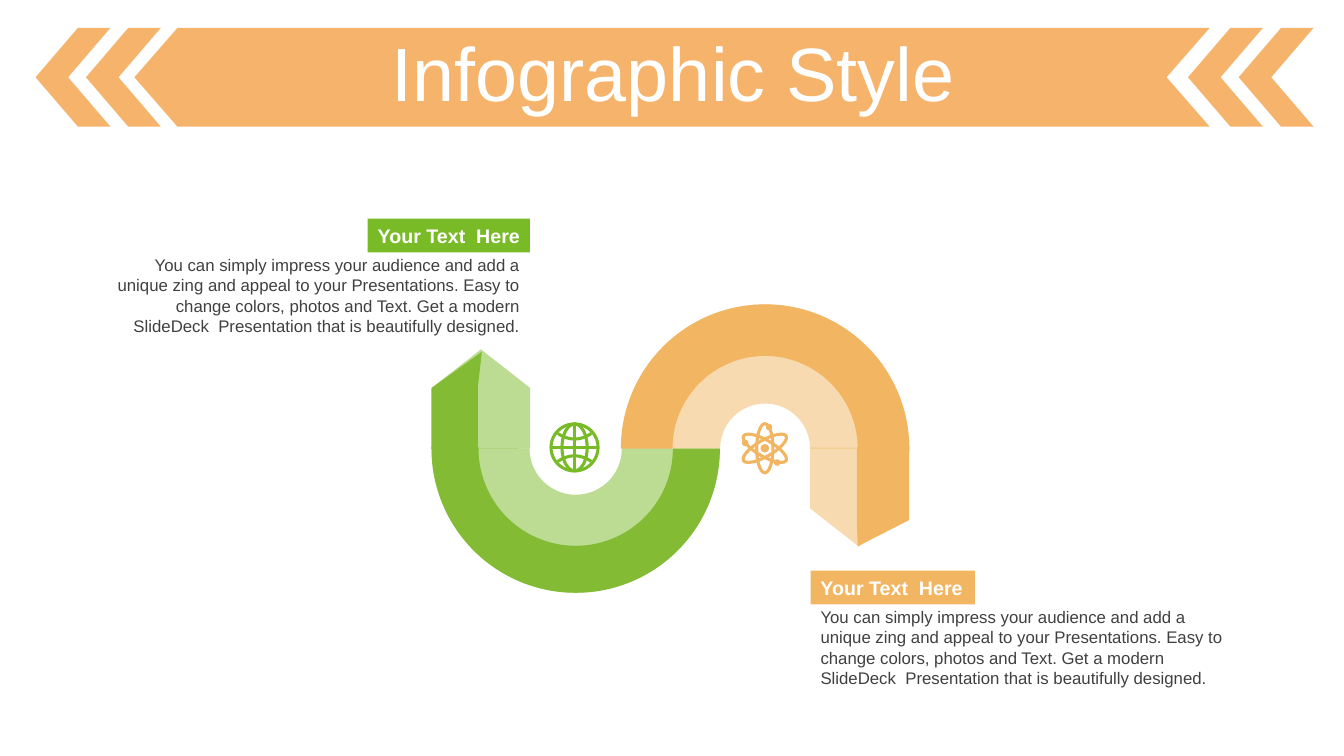
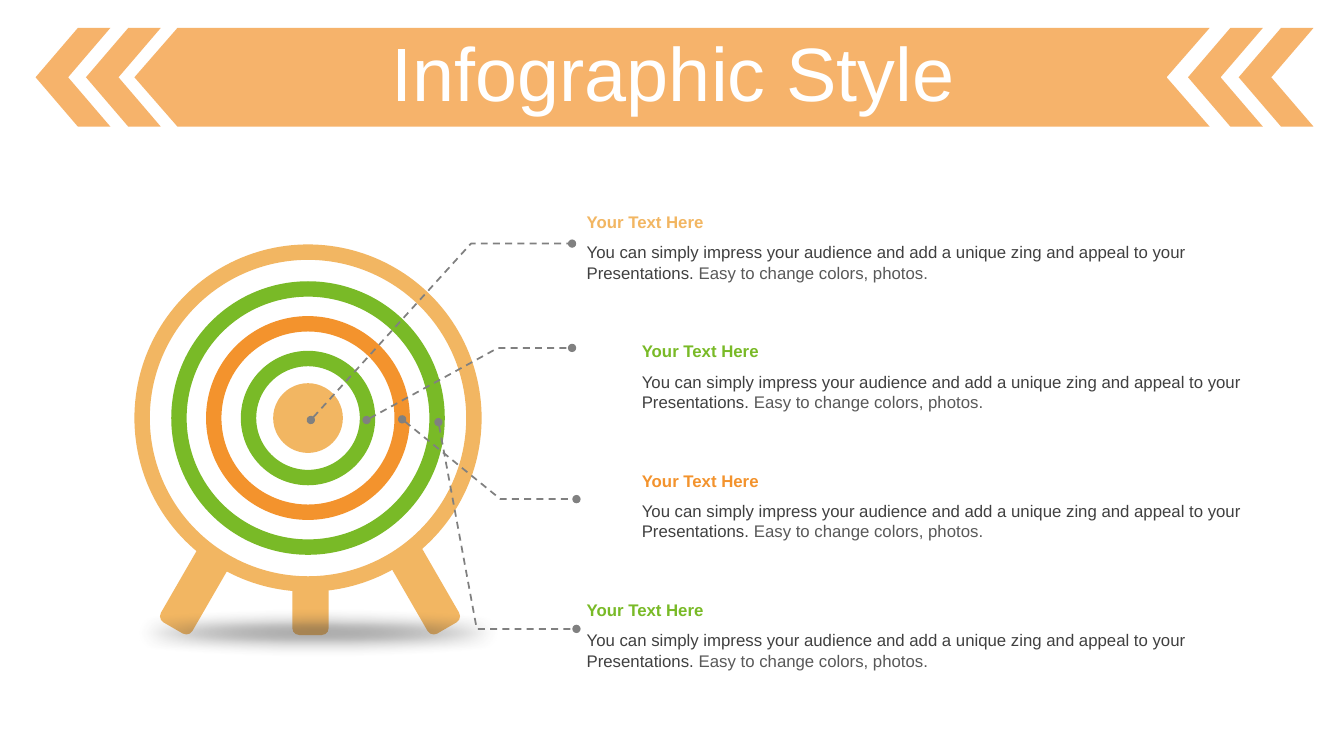
from lxml import etree
from pptx import Presentation
from pptx.dml.color import RGBColor
from pptx.enum import dml, shapes, text
from pptx.oxml.ns import qn
from pptx.shapes.shapetree import SlideShapes
from pptx.util import Pt

GREEN, LEAF, ORANGE, SAND = "79BA27", "8EC043", "F3932D", "F2B662"
WHITE, DARK, GRAY, MID = "FFFFFF", "404040", "808080", "595959"
M = shapes.MSO_SHAPE
LEFT, CENTER, RIGHT = text.PP_ALIGN.LEFT, text.PP_ALIGN.CENTER, text.PP_ALIGN.RIGHT
rgb = RGBColor.from_string


def draw(tree, geom, box=None, fill=None, alpha=None, line=None, width=1, rot=0, adj=()):
    """Draw a preset shape in a box, or an outline through a list of points."""
    if isinstance(geom, list):
        pts = [(Pt(x), Pt(y)) for x, y in geom]
        fb = tree.build_freeform(*pts[0], scale=1)
        fb.add_line_segments(pts[1:], close=fill is not None)
        sp = fb.convert_to_shape()
    else:
        sp = tree.add_shape(geom, *[Pt(v) for v in box])
    sp.shadow.inherit = False
    sp.rotation = rot
    for i, v in enumerate(adj):
        sp.adjustments[i] = v
    if fill:
        sp.fill.solid()
        sp.fill.fore_color.rgb = rgb(fill)
    else:
        sp.fill.background()
    if alpha:
        color = sp._element.spPr.find(qn("a:solidFill"))[0]
        etree.SubElement(color, qn("a:alpha"), val=str(alpha * 1000))
    if line:
        sp.line.color.rgb = rgb(line)
        sp.line.width = Pt(width)
    else:
        sp.line.fill.background()
    return sp


def write(sp, *runs, size=12, bold=False, align=LEFT, spacing=None, anchor=text.MSO_ANCHOR.TOP):
    """Fill a shape with one paragraph of (text, colour) runs."""
    tf = sp.text_frame
    tf.word_wrap = True
    tf.auto_size = text.MSO_AUTO_SIZE.NONE
    tf.vertical_anchor = anchor
    p = tf.paragraphs[0]
    p.alignment = align
    if spacing:
        p.line_spacing = spacing
    for words, color in runs:
        r = p.add_run()
        r.text = words
        r.font.name = "Arial"
        r.font.size = Pt(size)
        r.font.bold = bold
        r.font.color.rgb = rgb(color)


prs = Presentation()
prs.slide_width, prs.slide_height = Pt(960), Pt(540)

# Shared layout: title place and arrow banner
layout = prs.slide_layouts[5]
title = layout.placeholders[0]
title.left, title.top, title.width, title.height = Pt(25.2), Pt(26.6), Pt(911.5), Pt(57)
tree = SlideShapes(layout.shapes._spTree, layout)
for x in (25.4, 61.4, 848.6, 884.8):
    draw(tree, M.CHEVRON, (x, 20, 53.4, 70.4), fill=ORANGE, alpha=70, rot=180, adj=[0.565])
draw(tree, [(126.7, 20), (864, 20), (833.3, 55.2), (864, 90.4), (126.7, 90.4), (96, 55.2)],
     fill=ORANGE, alpha=70)

slides = [prs.slides.add_slide(layout) for _ in range(2)]
for s in slides:
    write(s.shapes.title, ("Infographic Style", WHITE), size=54, align=CENTER, spacing=0.9,
          anchor=text.MSO_ANCHOR.MIDDLE)

# Slide 1: orange half of the wave
tree = slides[0].shapes
arch = (443.5, 217.4, 206, 206)
draw(tree, M.BLOCK_ARC, arch, fill=SAND, alpha=50, adj=[108, 0, 0.344])
draw(tree, M.BLOCK_ARC, arch, fill=SAND, adj=[108, 0.65, 0.179])
draw(tree, [(649.4, 319.7), (649.4, 371.5), (612.7, 390.2), (612, 371.5), (612, 319.7)],
     fill=SAND)
draw(tree, M.PENTAGON, (578.2, 320.2, 70.6, 69.8), fill=SAND, alpha=50, rot=90, adj=[0.391])

# Green half of the wave
bowl = (308.2, 217.4, 206, 206)
draw(tree, M.BLOCK_ARC, bowl, fill=LEAF, rot=180, adj=[108, 0.43, 0.163])
draw(tree, [(308.2, 320.4), (308.2, 277.2), (344.2, 251.3), (341.3, 277.2), (341.3, 320.4)],
     fill=LEAF)
draw(tree, M.BLOCK_ARC, bowl, fill=GREEN, alpha=50, rot=180, adj=[108, 0.22, 0.34])
draw(tree, M.PENTAGON, (308.2, 249.8, 70.6, 70.2), fill=GREEN, alpha=50, rot=270, adj=[0.391])

# Labels and paragraphs
blurb = ("You can simply impress your audience and add a unique zing and appeal to your "
         "Presentations. Easy to change colors, photos and Text. Get a modern "
         "SlideDeck  Presentation that is beautifully designed.")
for label, body, color, align in (
        ((262.6, 156.2, 116, 24.2), (68.4, 178.6, 310.2, 65.4), GREEN, RIGHT),
        ((579, 407.6, 117.4, 24.2), (579, 430, 309, 65.4), SAND, LEFT)):
    sp = draw(tree, M.RECTANGLE, label, fill=color)
    write(sp, ("Your Text  Here", WHITE), size=14, bold=True, align=align)
    write(tree.add_textbox(*[Pt(v) for v in body]), (blurb, DARK), align=align)

# Globe icon
cx, cy, rad = 410.4, 319.6, 16.8
for rx in (rad, 9):
    draw(tree, M.OVAL, (cx - rx, cy - rad, 2 * rx, 2 * rad), line=GREEN, width=2.2)
draw(tree, [(cx - rad, cy), (cx + rad, cy)], line=GREEN, width=2.2)
draw(tree, [(cx, cy - rad), (cx, cy + rad)], line=GREEN, width=2.2)
for side in (-1, 1):
    curve = [(cx + dx, cy + side * (6 + 4 * (dx / 12) ** 2)) for dx in range(-12, 13, 2)]
    draw(tree, curve, line=GREEN, width=2.2)

# Atom icon
cx, cy = 546.3, 320.2
for angle in (0, 60, 120):
    draw(tree, M.OVAL, (cx - 5.8, cy - 17.6, 11.6, 35.2), line=SAND, width=2.2, rot=angle)
for dx, dy, rad in ((0, 0, 3), (3, -15.2, 2.3), (-14, -3.8, 2.3), (8.8, 10.2, 2.3)):
    draw(tree, M.OVAL, (cx + dx - rad, cy + dy - rad, 2 * rad, 2 * rad), fill=SAND)

# Slide 2: target stand and rings
tree = slides[1].shapes
for x, y, angle in ((208.8, 291.6, 0), (265.7, 297.4, 330), (151.2, 297.4, 30)):
    draw(tree, M.ROUNDED_RECTANGLE, (x, y, 26, 162), fill=SAND, rot=angle, adj=[0.194])
cx, cy = 220, 298.6
for d, fill, line in ((237, WHITE, SAND), (184.4, WHITE, GREEN), (134.6, WHITE, ORANGE),
                      (85, WHITE, GREEN), (49.8, SAND, None)):
    draw(tree, M.OVAL, (cx - d / 2, cy - d / 2, d, d), fill=fill, line=line, width=11)

# Soft shadow on the floor
sp = draw(tree, M.OVAL, (46.8, 434.2, 360.8, 35.2), fill=DARK, alpha=58)
effects = sp._element.spPr.find(qn("a:effectLst"))
etree.SubElement(effects, qn("a:softEdge"), rad=str(Pt(12)))

# Text blocks
for i, (x, color) in enumerate(((412, SAND), (451.4, GREEN), (451.4, ORANGE), (412, GREEN))):
    y = 147.6 + i * 92.4
    write(tree.add_textbox(Pt(x), Pt(y), Pt(443.5), Pt(21.8)), ("Your Text Here", color),
          bold=True)
    write(tree.add_textbox(Pt(x), Pt(y + 21.8), Pt(443.5), Pt(36)),
          ("You can simply impress your audience and add a unique zing and appeal to your "
           "Presentations. ", DARK),
          ("Easy to change colors, photos.", MID))

# Dashed callouts from the rings to the text
for points in ([(222, 300), (336.4, 174), (408.6, 174)],
               [(261.8, 300), (355.7, 248.5), (408.6, 248.5)],
               [(287.3, 299.5), (357.5, 356.5), (411.8, 356.5)],
               [(313.2, 301.5), (340.6, 449.2), (411.8, 449.2)]):
    sp = draw(tree, points, line=GRAY, width=1.25)
    sp.line.dash_style = dml.MSO_LINE.DASH
    ln = sp._element.spPr.find(qn("a:ln"))
    for end in ("a:headEnd", "a:tailEnd"):
        etree.SubElement(ln, qn(end), type="oval")

prs.save("out.pptx")
